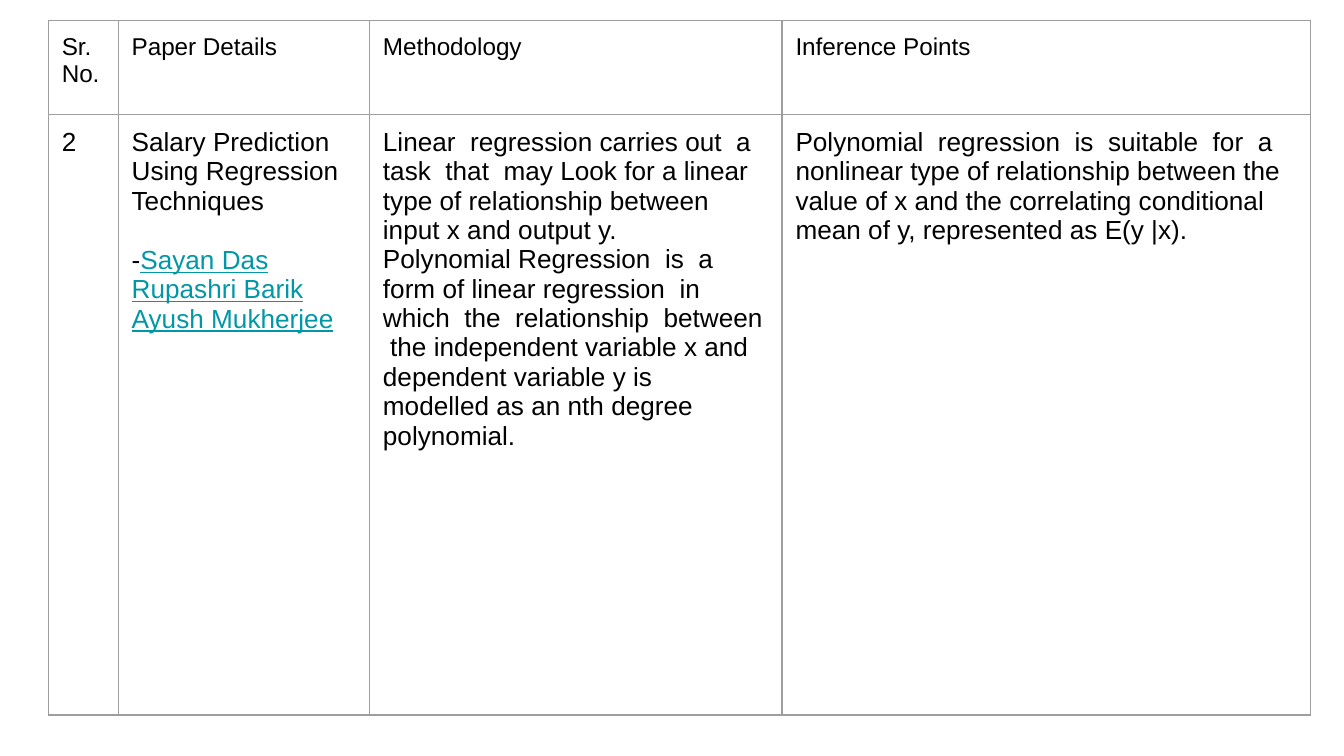
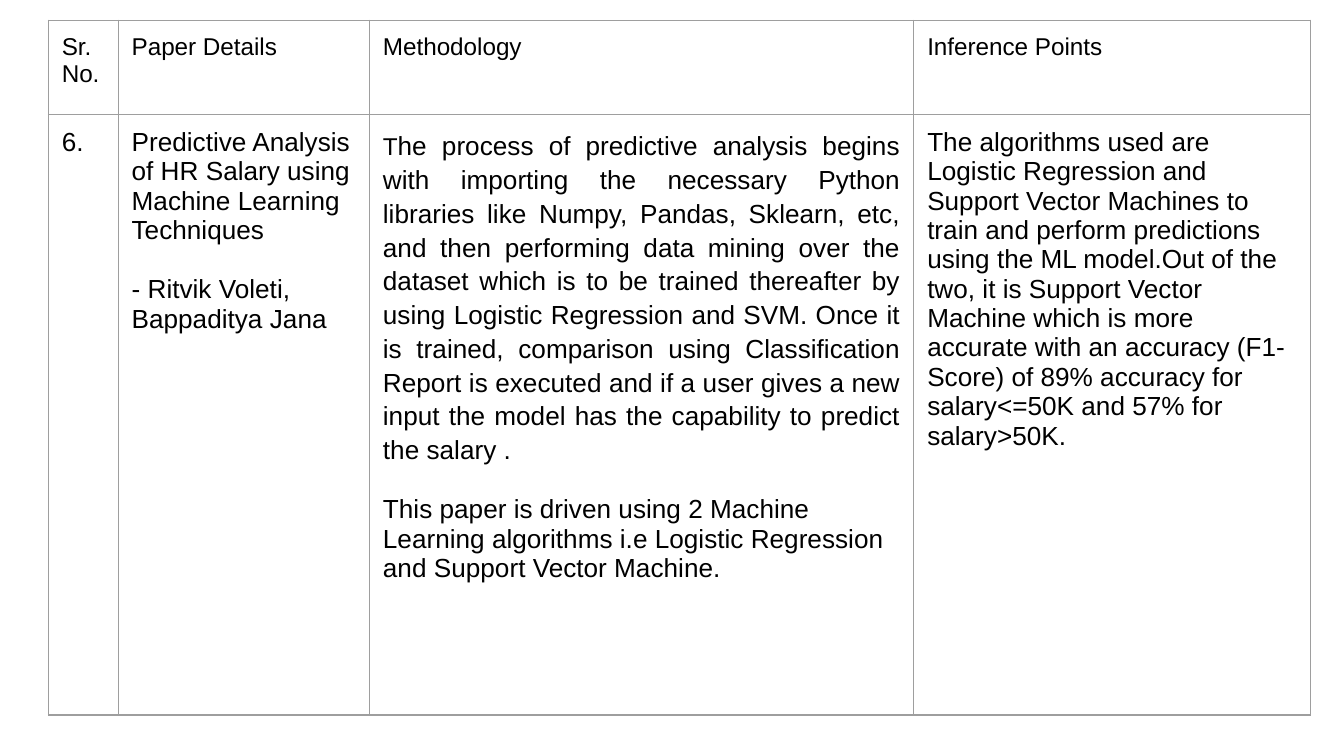
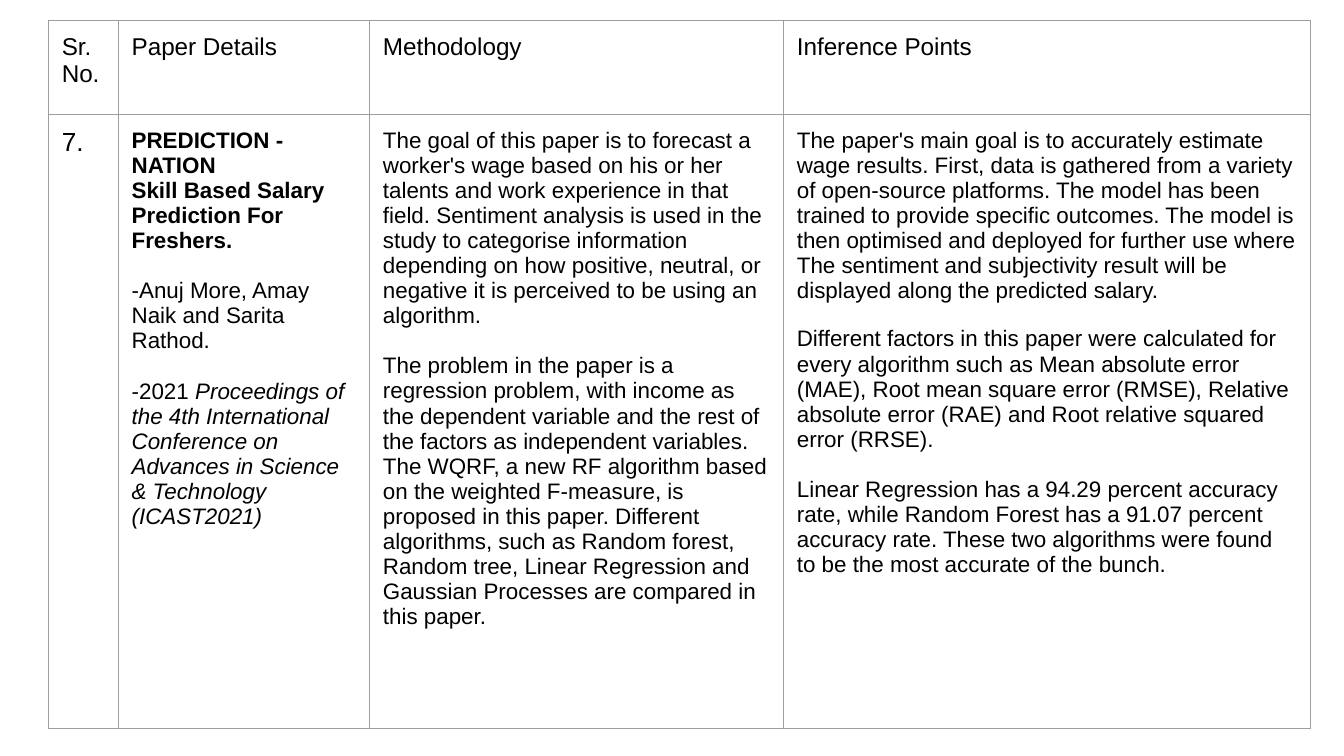
"""Builds three literature survey slides, each with one table about a paper."""
from lxml import etree
from pptx import Presentation
from pptx import util as u
from pptx.dml.color import RGBColor
from pptx.enum import text
from pptx.oxml.ns import qn

FONT, INK, LINK, GRID = "Arial", "000000", "0097A7", "9E9E9E"
LEFT, TOP, PAD = 0.36, 0.15, 0.1
HEAD_SIZE, HEAD_HEIGHT, NUMBER_SIZE = 13, 0.7, 14
HEADINGS = ["Sr. No.", "Paper Details", "Methodology", "Inference Points"]
AUTHOR = {"color": LINK, "underline": True}
BOLD, ITALIC = {"bold": True}, {"italic": True}

PAPERS = [
    {
        "number": "2", "size": 14, "height": 4.47, "cols": [0.52, 1.87, 3.07, 3.93],
        "details": [
            {"runs": [("Salary Prediction Using Regression Techniques", {})]},
            {"runs": [("-", {}), ("Sayan Das", AUTHOR)], "before": 16},
            {"runs": [("Rupashri Barik", AUTHOR)]},
            {"runs": [("Ayush Mukherjee", AUTHOR)]},
        ],
        "method": [
            {"runs": [("Linear  regression carries out  a  task  that  may Look for a linear type "
                       "of relationship between input x and output y.", {})]},
            {"runs": [("Polynomial Regression  is  a form of linear regression  in  which  the  "
                       "relationship  between  the independent variable x and dependent variable "
                       "y is", {})]},
            {"runs": [("modelled as an nth degree polynomial.", {})]},
        ],
        "inference": [
            {"runs": [("Polynomial  regression  is  suitable  for  a  nonlinear type of "
                       "relationship between the value of x and the correlating conditional mean "
                       "of y, represented as E(y |x).", {})]},
        ],
    },
    {
        "number": "6.", "size": 14, "height": 4.47, "cols": [0.52, 1.87, 4.05, 2.95],
        "details": [
            {"runs": [("Predictive Analysis of HR Salary using Machine Learning Techniques", {})]},
            {"runs": [("- Ritvik Voleti, Bappaditya Jana", {})], "before": 16},
        ],
        "method": [
            {"runs": [("T", {"size": 13}),
                      ("he process of predictive analysis begins with importing the necessary "
                       "Python libraries like Numpy, Pandas, Sklearn, etc, and then performing "
                       "data mining over the dataset which is to be trained thereafter by using "
                       "Logistic Regression and SVM. Once it is trained, comparison using "
                       "Classification Report is executed and if a user gives a new input the "
                       "model has the capability to predict the salary .", {})],
             "align": text.PP_ALIGN.JUSTIFY, "spacing": 1.15},
            {"runs": [("This paper is driven using 2 Machine Learning algorithms i.e Logistic "
                       "Regression and Support Vector Machine.", {})], "before": 16},
        ],
        "inference": [
            {"runs": [("The algorithms used are Logistic Regression and Support Vector Machines to "
                       "train and perform predictions using the ML model.Out of the two, it is "
                       "Support Vector Machine which is more accurate with an accuracy (F1- Score) "
                       "of 89% accuracy for salary<=50K and 57% for salary>50K.", {})]},
        ],
    },
    {
        "number": "7.", "size": 12, "height": 4.57, "cols": [0.52, 1.87, 3.08, 3.92],
        "details": [
            {"runs": [("PREDICTION - NATION", BOLD)]},
            {"runs": [("Skill Based Salary Prediction For Freshers.", BOLD)]},
            {"runs": [("-Anuj More, Amay Naik and Sarita Rathod.", {})], "before": 13.5},
            {"runs": [("-2021 ", {}),
                      ("Proceedings of the 4th International Conference on Advances in Science & "
                       "Technology (ICAST2021)", ITALIC)], "before": 13.5},
        ],
        "method": [
            {"runs": [("The goal of this paper is to forecast a worker's wage based on his or her "
                       "talents and work experience in that field. Sentiment analysis is used in "
                       "the study to categorise information depending on how positive, neutral, or "
                       "negative it is perceived to be using an algorithm.", {})]},
            {"runs": [("The problem in the paper is a regression problem, with income as the "
                       "dependent variable and the rest of the factors as independent variables. "
                       "The WQRF, a new RF algorithm based on the weighted F-measure, is proposed "
                       "in this paper. Different algorithms, such as Random forest, Random tree, "
                       "Linear Regression and Gaussian Processes are compared in this paper.", {})],
             "before": 13.5},
        ],
        "inference": [
            {"runs": [("The paper's main goal is to accurately estimate wage results. First, data "
                       "is gathered from a variety of open-source platforms. The model has been "
                       "trained to provide specific outcomes. The model is then optimised and "
                       "deployed for further use where", {})]},
            {"runs": [("The sentiment and subjectivity result will be displayed along the "
                       "predicted salary.", {})]},
            {"runs": [("Different factors in this paper were calculated for every algorithm such "
                       "as Mean absolute error (MAE), Root mean square error (RMSE), Relative "
                       "absolute error (RAE) and Root relative squared error (RRSE).", {})],
             "before": 12.5},
            {"runs": [("Linear Regression has a 94.29 percent accuracy rate, while Random Forest "
                       "has a 91.07 percent accuracy rate. These two algorithms were found to be "
                       "the most accurate of the bunch.", {})], "before": 13.5},
        ],
    },
]


def rgb(value):
    return RGBColor.from_string(value)


def add_run(p, words, size, color=INK, bold=False, italic=False, underline=False):
    r = p.add_run()
    r.text = words
    f = r.font
    f.name, f.size, f.color.rgb = FONT, u.Pt(size), rgb(color)
    f.bold, f.italic, f.underline = bold, italic, underline


def write(tf, paragraphs, size):
    for i, para in enumerate(paragraphs):
        p = tf.add_paragraph() if i else tf.paragraphs[0]
        p.alignment = para.get("align", text.PP_ALIGN.LEFT)
        p.line_spacing = para.get("spacing", 1.0)
        p.space_before = u.Pt(para.get("before", 0))
        for words, style in para["runs"]:
            add_run(p, words, **{"size": size, **style})


def style_cell(cell):
    cell.margin_left = cell.margin_right = u.Inches(PAD)
    cell.margin_top = cell.margin_bottom = u.Inches(PAD)
    cell.vertical_anchor = text.MSO_ANCHOR.TOP
    tc_pr = cell._tc.get_or_add_tcPr()
    for side in ("lnL", "lnR", "lnT", "lnB"):
        ln = etree.SubElement(tc_pr, qn("a:" + side), w=str(u.Pt(0.75)))
        fill = etree.SubElement(ln, qn("a:solidFill"))
        etree.SubElement(fill, qn("a:srgbClr"), val=GRID)
    cell.fill.background()


def plain(words):
    return [{"runs": [(words, {})]}]


def add_paper(prs, paper):
    s = prs.slides.add_slide(prs.slide_layouts[6])
    cols, heights = paper["cols"], [HEAD_HEIGHT, paper["height"]]
    table = s.shapes.add_table(2, len(cols), u.Inches(LEFT), u.Inches(TOP),
                               u.Inches(sum(cols)), u.Inches(sum(heights))).table
    table.first_row = table.horz_banding = False
    for column, width in zip(table.columns, cols):
        column.width = u.Inches(width)
    for row, height in zip(table.rows, heights):
        row.height = u.Inches(height)
    rows = [
        [(plain(heading), HEAD_SIZE) for heading in HEADINGS],
        [(plain(paper["number"]), NUMBER_SIZE)]
        + [(paper[part], paper["size"]) for part in ("details", "method", "inference")],
    ]
    for i, row in enumerate(rows):
        for j, (paragraphs, size) in enumerate(row):
            cell = table.cell(i, j)
            style_cell(cell)
            write(cell.text_frame, paragraphs, size)


def main():
    prs = Presentation()
    prs.slide_width = u.Inches(10)
    prs.slide_height = u.Emu(prs.slide_width * 9 // 16)
    for paper in PAPERS:
        add_paper(prs, paper)
    prs.save("out.pptx")


if __name__ == "__main__":
    main()
